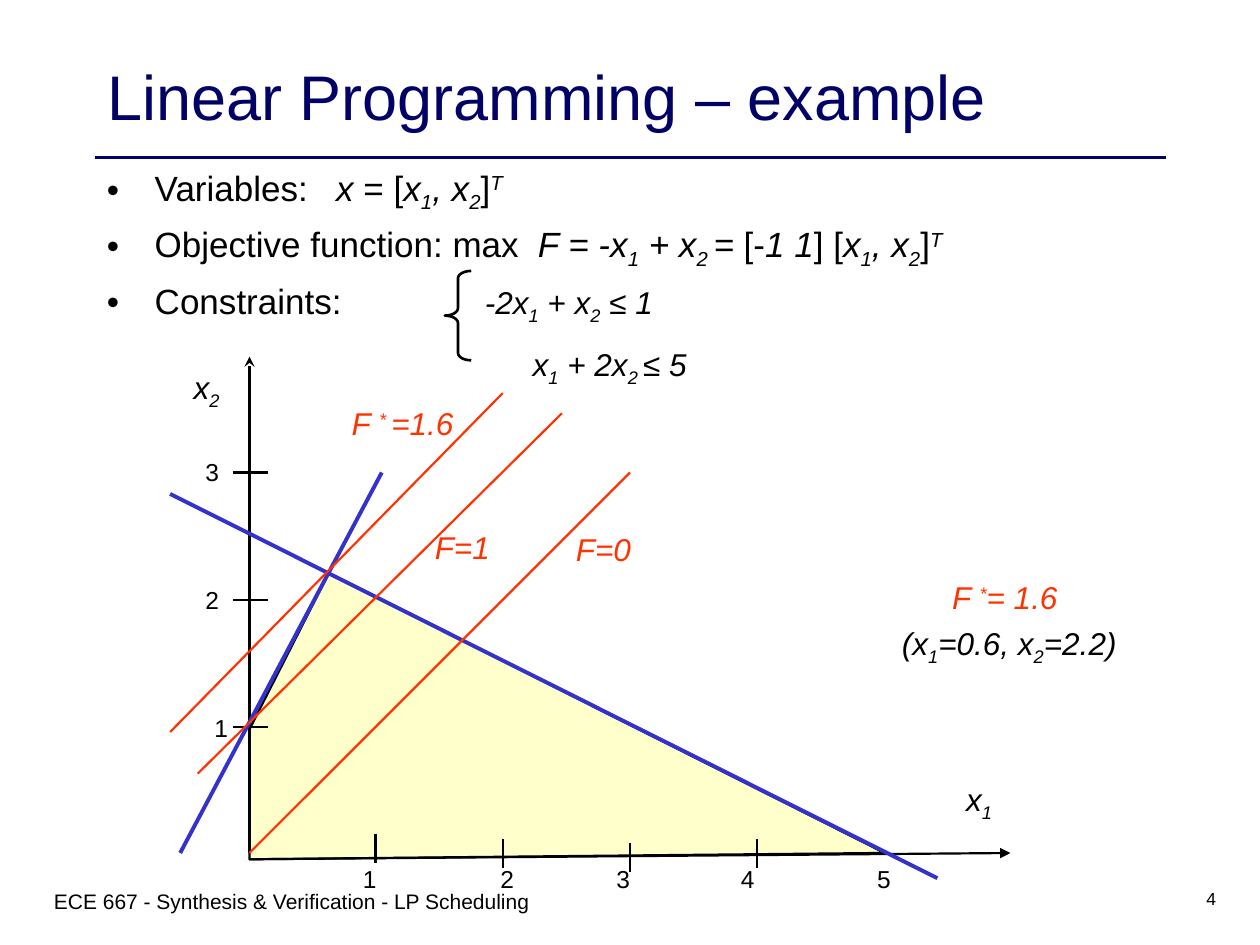
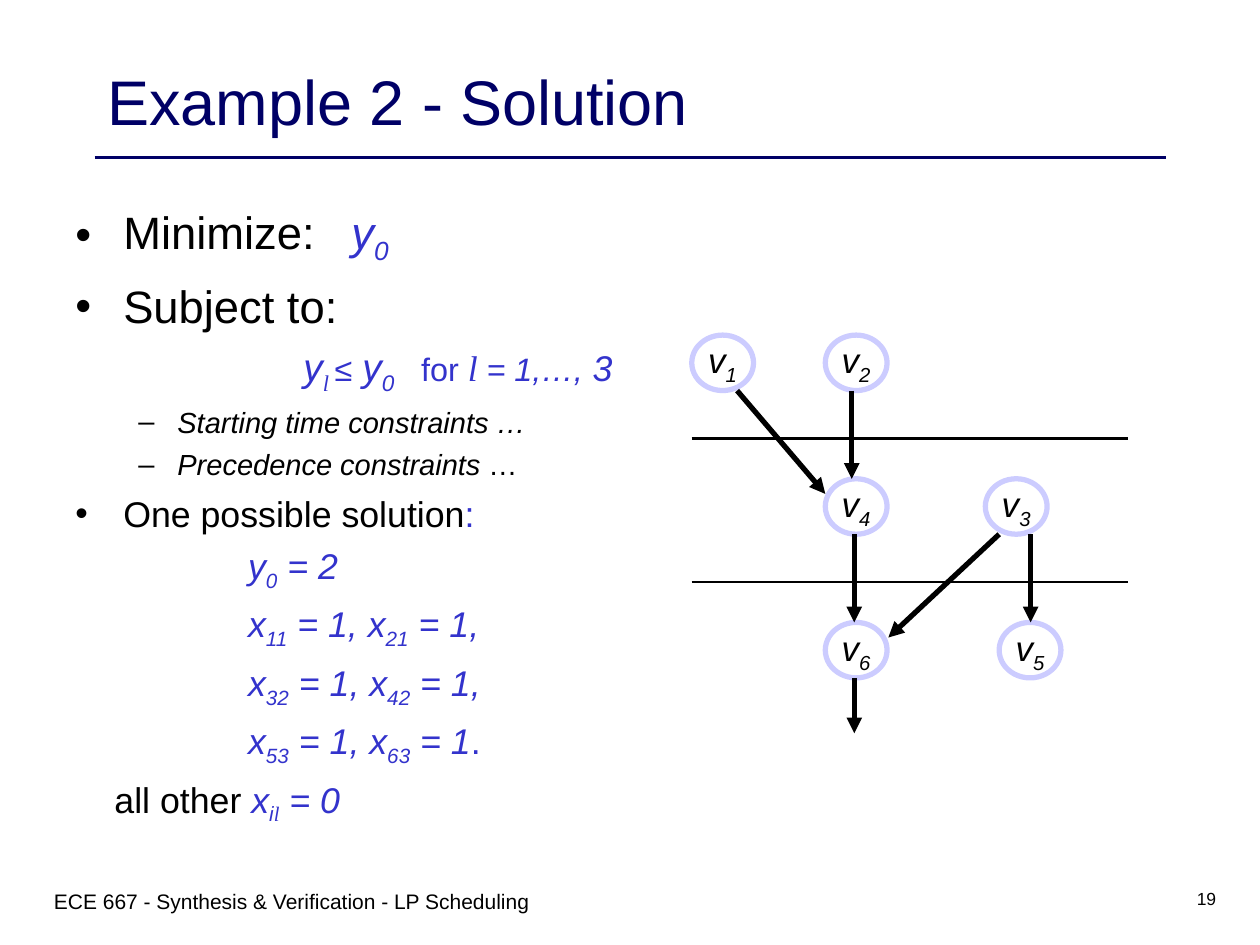
from lxml import etree
from pptx import Presentation
from pptx.dml.color import RGBColor
from pptx.enum.shapes import MSO_CONNECTOR, MSO_SHAPE
from pptx.enum.text import MSO_ANCHOR, MSO_AUTO_SIZE, PP_ALIGN
from pptx.oxml.ns import qn
from pptx.util import Inches, Pt

LINE, OVAL, BRACE = MSO_CONNECTOR.STRAIGHT, MSO_SHAPE.OVAL, MSO_SHAPE.LEFT_BRACE
LEFT, MID, RIGHT = PP_ALIGN.LEFT, PP_ALIGN.CENTER, PP_ALIGN.RIGHT
CENTER, FIXED = MSO_ANCHOR.MIDDLE, MSO_AUTO_SIZE.NONE
BLACK = RGBColor(0x00, 0x00, 0x00)
WHITE = RGBColor(0xFF, 0xFF, 0xFF)
NAVY = RGBColor(0x00, 0x00, 0x66)
BLUE = RGBColor(0x33, 0x33, 0xCC)
RED = RGBColor(0xFF, 0x33, 0x00)
CREAM = RGBColor(0xFF, 0xFF, 0xCC)
LILAC = RGBColor(0xCC, 0xCC, 0xFF)
HUES = {"b": BLUE, "r": RED, "n": NAVY}
BASES = {"-": "-25000", "+": "30000"}
BULLET = {"mar": 0.38, "ind": -0.38, "mark": "•"}
DASH = {"mar": 0.81, "ind": -0.31, "mark": "–", "gap": 4.5}


def put(frame, rows, align=LEFT):
    # Run flags: i italic, b/r/n hue, - subscript, + superscript, t serif.
    for num, (size, look, runs) in enumerate(rows):
        par = frame.add_paragraph() if num else frame.paragraphs[0]
        props = par._p.get_or_add_pPr()
        props.set("marL", str(Inches(look.get("mar", 0))))
        props.set("indent", str(Inches(look.get("ind", 0))))
        if "mark" in look:
            etree.SubElement(props, qn("a:buFont"), typeface="Arial")
            etree.SubElement(props, qn("a:buChar"), char=look["mark"])
        else:
            etree.SubElement(props, qn("a:buNone"))
        if "tab" in look:
            tabs = etree.SubElement(props, qn("a:tabLst"))
            etree.SubElement(tabs, qn("a:tab"), pos=str(Inches(look["tab"])), algn="l")
        par.alignment = align
        par.line_spacing = look.get("lead", 1.0)
        par.space_before = Pt(look.get("gap", 0) if num else 0)
        for text, flags, *own in runs:
            run = par.add_run()
            run.text = text
            style = {
                "name": "Times New Roman" if "t" in flags else "Arial",
                "size": Pt(own[0] if own else size),
                "italic": "i" in flags,
                "bold": False,
            }
            for key, val in style.items():
                setattr(run.font, key, val)
            hue = [HUES[f] for f in flags if f in HUES]
            run.font.color.rgb = hue[0] if hue else BLACK
            for flag in flags:
                if flag in BASES:
                    run.font._element.set("baseline", BASES[flag])


def draw(slide, start, end, hue=BLACK, width=1.25, tip=None):
    link = slide.shapes.add_connector(LINE, *map(Inches, start + end))
    link.line.color.rgb = hue
    link.line.width = Pt(width)
    if tip:
        etree.SubElement(link.line._get_or_add_ln(), qn("a:tailEnd"), type=tip)
    etree.SubElement(link._element.spPr, qn("a:effectLst"))


deck = Presentation()
deck.slide_width, deck.slide_height = Inches(10), Inches(7.5)

plot_rows = [
    (20, {**BULLET, "tab": 1.82}, [
        ("Variables:\t", ""), ("x ", "i"), ("= [", ""), ("x", "i"), ("1", "i-"),
        (", x", "i"), ("2", "i-"), ("]", ""), ("T", "i+")]),
    (20, {**BULLET, "gap": 5, "tab": 3.42}, [
        ("Objective function: max\t", ""), ("F = -x", "i"), ("1", "i-"),
        (" + x", "i"), ("2 ", "i-"), ("= ", "i"), ("[-", ""), ("1 1", "i"),
        ("] [", ""), ("x", "i"), ("1", "i-"), (", x", "i"), ("2", "i-"),
        ("]", ""), ("T", "i+")]),
    (20, {**BULLET, "gap": 5, "tab": 3}, [
        ("Constraints:\t", ""), ("-2x", "i", 18), ("1", "i-", 18),
        (" + x", "i", 18), ("2", "i-", 18), (" ≤ 1", "i", 18)]),
    (18, {"mar": 3.38, "gap": 11}, [
        ("x", "i"), ("1", "i-"), (" + 2x", "i"), ("2 ", "i-"), ("≤ 5", "i")]),
]
goal_rows = [
    (25.9, {**BULLET, "tab": 2.19}, [("Minimize:\t", ""), ("y", "ib"), ("0", "ib-")]),
    (25.9, {**BULLET, "gap": 7}, [("Subject to:", "")]),
    (22.2, {"mar": 1.81, "gap": 6, "tab": 2.67}, [
        ("y", "ib"), ("l ", "ibt-"), ("≤", "ib", 18.5), (" ", "ib", 20.4),
        ("y", "ib"), ("0", "ib-"), ("\t", "ib"), ("for ", "b", 18.5),
        ("l ", "ibt", 20.4), ("= 1,…,", "ib", 18.5), (" 3", "ib", 20.4)]),
    (16.6, DASH, [("Starting time constraints …", "i")]),
    (16.6, DASH, [("Precedence constraints", "i"), (" …", "")]),
    (20.4, {**BULLET, "gap": 5.5}, [("One possible solution", ""), (":", "b")]),
    (20.4, {"mar": 1.37, "gap": 5.5}, [("y", "ib"), ("0", "ib-"), (" = 2", "ib")]),
]
for one, two, end, flags in [("11", "21", ",", "ib"), ("32", "42", ",", "ib"),
                             ("53", "63", ".", "")]:
    goal_rows.append((20.4, {"mar": 1.37, "gap": 5.5}, [
        ("x", "ib"), (one, "ib-"), (" = 1, x", "ib"), (two, "ib-"),
        (" = 1", "ib"), (end, flags or "b")]))
goal_rows.append((20.4, {"mar": 0.31, "gap": 5.5}, [
    ("all other ", ""), ("x", "ib"), ("i", "ib-"), ("l", "ibt-"), (" = 0", "ib")]))

pages = [
    ("Linear Programming – example", 0.9, "4", (0.75, 1.27, 8.67, 2.23), plot_rows),
    ("Example 2 - Solution", 1.0, "19", (0.5, 1.57, 4.75, 5.02), goal_rows),
]
slides = []
for name, lead, num, area, rows in pages:
    slide = deck.slides.add_slide(deck.slide_layouts[5])
    slides.append(slide)
    title = slide.shapes.title
    title.left, title.top, title.width, title.height = map(
        Inches, (0.75, 0.17, 8.5, 1.25))
    title.text_frame.vertical_anchor = CENTER
    title.text_frame.auto_size = FIXED
    put(title.text_frame, [(36, {"lead": lead}, [(name, "n")])])
    draw(slide, (0.75, 1.25), (9.25, 1.25), NAVY, 2.25)
    foot = "ECE 667 - Synthesis & Verification - LP Scheduling"
    for box, lines, align in [
        ((0.33, 7, 4.5, 0.5), [(12, {}, [(foot, "")])], LEFT),
        ((7.67, 7, 2.08, 0.5), [(10, {}, [(num, "")])], RIGHT),
        (area, rows, LEFT),
    ]:
        frame = slide.shapes.add_textbox(*map(Inches, box)).text_frame
        frame.word_wrap = True
        put(frame, lines, align)

plot, graph = slides

pen = plot.shapes.build_freeform(198, 682, scale=Inches(0.01))
pen.add_line_segments([(198, 579), (261, 455), (702, 677)], close=True)
zone = pen.convert_to_shape()
zone.shadow.inherit = False
zone.fill.solid()
zone.fill.fore_color.rgb = CREAM
zone.line.color.rgb = BLACK
zone.line.width = Pt(1.25)

draw(plot, (1.98, 6.82), (8.02, 6.77), tip="triangle")
draw(plot, (1.98, 6.77), (1.98, 2.83), tip="stealth")
for num in range(3):
    y = 5.77 - 1.01 * num
    draw(plot, (1.85, y), (2.13, y))
for num, y in enumerate([6.62, 6.66, 6.69, 6.66]):
    x = 2.98 + 1.01 * num
    draw(plot, (x, y), (x, y + 0.23))
for start, end in [((7.44, 6.97), (1.35, 3.92)), ((1.43, 6.77), (3.03, 3.75))]:
    draw(plot, start, end, BLUE, 2.25)
for start, end in [((1.98, 6.77), (5, 3.75)), ((1.57, 6.14), (4.46, 3.28)),
                   ((1.35, 5.81), (3.99, 3.12))]:
    draw(plot, start, end, RED)

brace = plot.shapes.add_shape(BRACE, *map(Inches, (3.53, 2.15, 0.21, 0.71)))
brace.shadow.inherit = False
brace.adjustments[0] = 0.28
brace.fill.background()
brace.line.color.rgb = BLACK
brace.line.width = Pt(1.5)

marks = [
    ((7.57, 6.14, 0.4, 0.44), [(18, {}, [("x", "i"), ("1", "i-")])]),
    ((1.44, 2.87, 0.4, 0.44), [(18, {}, [("x", "i"), ("2", "i-")])]),
    ((4.47, 4.16, 0.64, 0.4), [(18, {}, [("F=0", "ir")])]),
    ((3.35, 4.14, 0.64, 0.4), [(18, {}, [("F=1", "ir")])]),
    ((2.69, 3.16, 1.01, 0.4), [
        (18, {}, [("F ", "ir"), ("* ", "ir+"), ("=1.6", "ir")])]),
    ((7.06, 4.54, 1.9, 0.81), [
        (18, {}, [("F ", "ir"), ("*", "ir+"), ("= 1.6 ", "ir")]),
        (18, {"gap": 4.5}, [("(x", "i"), ("1", "i-"), ("=0.6, x", "i"),
                            ("2", "i-"), ("=2.2)", "i")])]),
]
ticks = [(x, 6.81) for x in (2.78, 3.87, 4.79, 5.78, 6.86)]
sides = [(1.6, 5.61), (1.53, 4.59), (1.53, 3.58)]
for group in (ticks, sides):
    for num, (x, y) in enumerate(group, 1):
        marks.append(((x, y, 0.31, 0.34), [(14, {}, [(str(num), "")])]))
for box, lines in marks:
    frame = plot.shapes.add_textbox(*map(Inches, box)).text_frame
    frame.word_wrap = False
    frame.margin_left = frame.margin_right = 0
    put(frame, lines, MID)

nodes = [("1", 5.49, 0), ("2", 6.55, 0), ("3", 7.82, 1),
         ("4", 6.55, 1), ("6", 6.55, 2), ("5", 7.93, 2)]
for num, x, row in nodes:
    node = graph.shapes.add_shape(
        OVAL, *map(Inches, (x, 2.66 + 1.14 * row, 0.49, 0.44)))
    node.shadow.inherit = False
    node.fill.solid()
    node.fill.fore_color.rgb = WHITE
    node.line.color.rgb = LILAC
    node.line.width = Pt(3)
    node.text_frame.word_wrap = False
    node.text_frame.vertical_anchor = CENTER
    put(node.text_frame, [(20, {}, [("v", "i"), (num, "i-")])], MID)
for start, end in [
    ((6.76, 3.1), (6.76, 3.8)), ((5.85, 3.1), (6.55, 3.92)),
    ((6.78, 4.24), (6.78, 4.94)), ((8.18, 4.24), (8.18, 4.94)),
    ((7.93, 4.24), (7.05, 5.06)), ((6.78, 5.38), (6.78, 5.82)),
]:
    draw(graph, start, end, width=3, tip="triangle")
for y in (3.48, 4.62):
    draw(graph, (5.49, y), (8.95, y))

deck.save("out.pptx")
